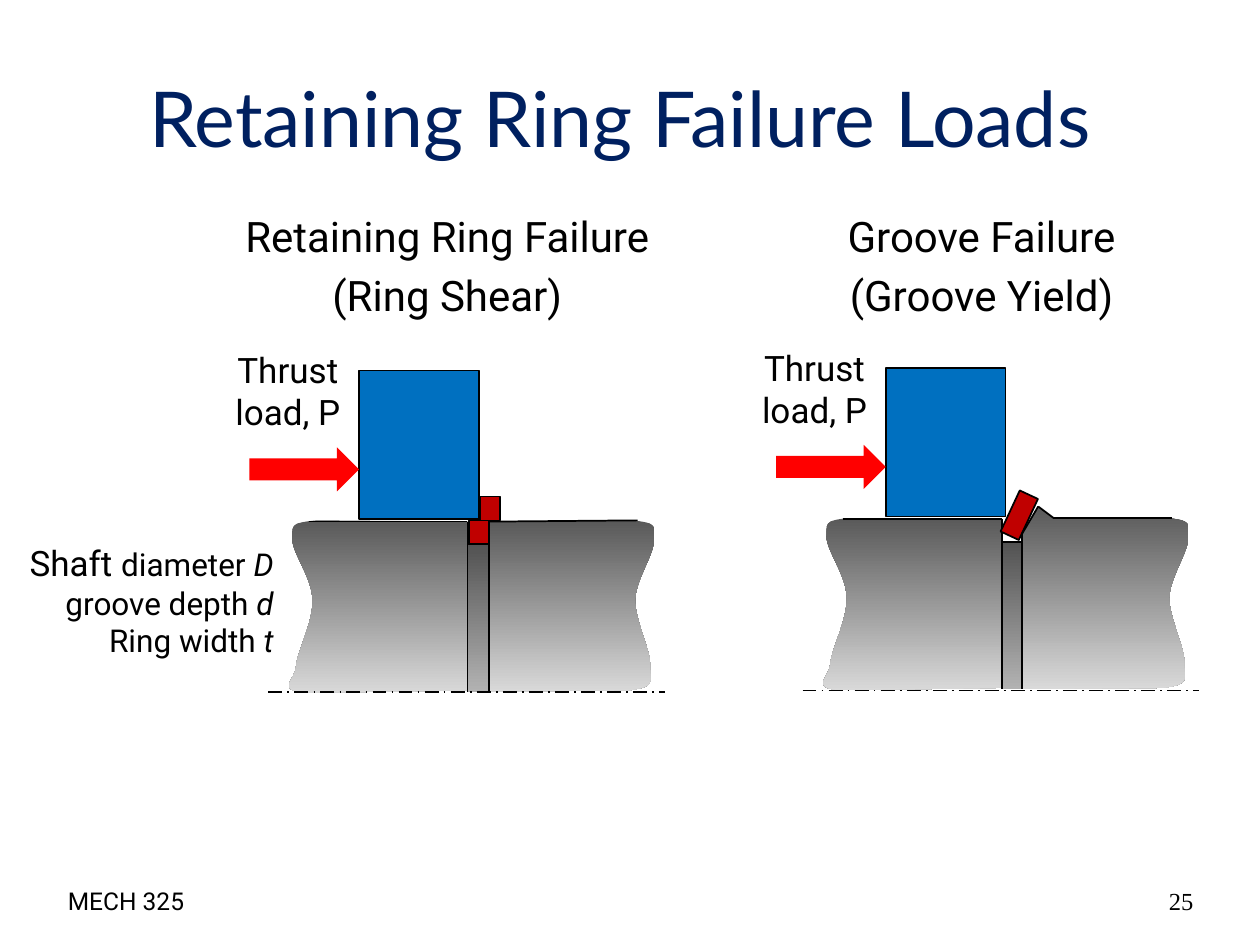
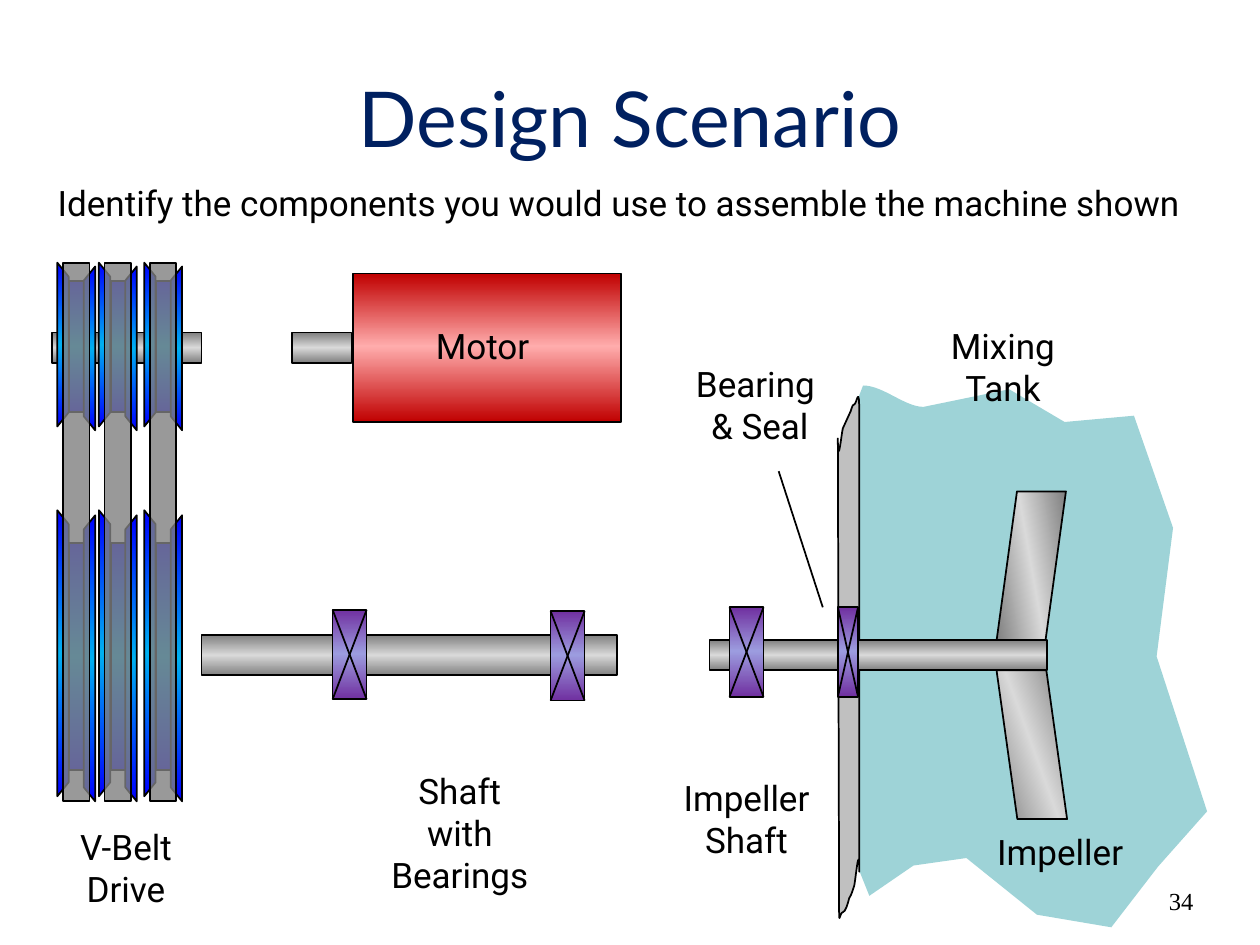
import pptx
import pptx.dml.color
import pptx.enum.dml
import pptx.enum.shapes
import pptx.enum.text
import pptx.oxml.ns
import pptx.util
from lxml import etree

Inches, Pt = pptx.util.Inches, pptx.util.Pt
RGBColor = pptx.dml.color.RGBColor
qn = pptx.oxml.ns.qn
SHAPE = pptx.enum.shapes.MSO_SHAPE
ALIGN = pptx.enum.text.PP_ALIGN

# Shared colours, gradients and fonts
NAVY = RGBColor(0x00, 0x20, 0x60)
BLACK = RGBColor(0x00, 0x00, 0x00)
BLUE = RGBColor(0x00, 0x70, 0xC0)
RED = RGBColor(0xFF, 0x00, 0x00)
CRIMSON = RGBColor(0xC0, 0x00, 0x00)
PINK = RGBColor(0xFF, 0xAC, 0xAC)
AQUA = RGBColor(0x9E, 0xD3, 0xD7)
SILVER = RGBColor(0xC0, 0xC0, 0xC0)
GRAY = RGBColor(0x80, 0x80, 0x80)
LIGHT_GRAY = RGBColor(0xD9, 0xD9, 0xD9)
PURPLE = RGBColor(0x70, 0x30, 0xA0)
LILAC = RGBColor(0x9C, 0x9C, 0xDF)
PULLEY_BLUE = RGBColor(0x00, 0x00, 0xFF)
SKY = RGBColor(0x00, 0xB0, 0xF0)
SHAFT_SHADE = [(0, RGBColor(0x59, 0x59, 0x59)), (100, LIGHT_GRAY)]
GROOVE_SHADE = [(0, RGBColor(0x52, 0x52, 0x52)), (100, RGBColor(0xB2, 0xB2, 0xB2))]
STEEL = [(0, GRAY), (50, LIGHT_GRAY), (100, GRAY)]
MOTOR_SHADE = [(0, CRIMSON), (49, PINK), (100, CRIMSON)]
BEARING_SHADE = [(0, PURPLE), (49, LILAC), (100, PURPLE)]
PULLEY_SHADE = [(0, PULLEY_BLUE), (50, SKY), (100, PULLEY_BLUE)]
TITLE_FONT, BODY_FONT, NUMBER_FONT = "Lato", "Roboto", "Times New Roman"


def add_part(shapes, kind, geometry, fill, angle=90, outlined=True, rotation=0):
    """Add a preset shape in a box, or, without a kind, a path of points and curves."""
    if kind is None:
        corners = [(Inches(step[-2]), Inches(step[-1])) for step in geometry]
        builder = shapes.build_freeform(*corners[0], scale=1.0)
        builder.add_line_segments(corners[1:], close=True)
        part = builder.convert_to_shape()
        segments = list(part._element.spPr.iter(qn("a:lnTo")))
        for segment, step in zip(segments, geometry[1:]):
            if len(step) == 6:
                curve = etree.Element(qn("a:cubicBezTo"))
                for x, y in zip(step[::2], step[1::2]):
                    etree.SubElement(curve, qn("a:pt"), x=str(Inches(x) - part.left),
                                     y=str(Inches(y) - part.top))
                segment.getparent().replace(segment, curve)
    else:
        part = shapes.add_shape(kind, *[Inches(v) for v in geometry])
    part.shadow.inherit = False
    part.rotation = rotation
    if isinstance(fill, RGBColor):
        part.fill.solid()
        part.fill.fore_color.rgb = fill
    else:
        part.fill.gradient()
        gradient = part._element.spPr.find(qn("a:gradFill"))
        gradient.find(qn("a:lin")).set("ang", str(angle * 60000))
        stops = gradient.find(qn("a:gsLst"))
        for stop in list(stops):
            stops.remove(stop)
        for position, color in fill:
            stop = etree.SubElement(stops, qn("a:gs"), pos=str(position * 1000))
            etree.SubElement(stop, qn("a:srgbClr"), val=str(color))
    if outlined:
        part.line.color.rgb = BLACK
        part.line.width = Pt(1)
    else:
        part.line.fill.background()
    return part


def add_line(shapes, *ends):
    """Add a thin black line from x1, y1 to x2, y2."""
    line = shapes.add_connector(pptx.enum.shapes.MSO_CONNECTOR.STRAIGHT,
                                *[Inches(v) for v in ends])
    line.line.color.rgb = BLACK
    line.line.width = Pt(1)
    etree.SubElement(line._element.spPr, qn("a:effectLst"))
    return line


# Presentation, slides and titles
prs = pptx.Presentation()
prs.slide_width, prs.slide_height = Inches(10), Inches(7.5)
pages = []
for heading in ("Retaining Ring Failure Loads ", "Design Scenario"):
    slide = prs.slides.add_slide(prs.slide_layouts[5])
    title = slide.shapes.title
    title.left, title.top, title.width, title.height = map(Inches, (0.5, 0.3, 9, 1.25))
    title.text_frame.text = heading
    title_font = title.text_frame.paragraphs[0].runs[0].font
    for name, value in {"name": TITLE_FONT, "size": Pt(44)}.items():
        setattr(title_font, name, value)
    title_font.color.rgb = NAVY
    pages.append(slide.shapes)
failure, scenario = pages
labels = []  # page, box, size, alignment, paragraphs

# Failure loads: ring shear on the left, groove yield on the right
stub_edge = [(4.99, 5.48), (5.21, 5.45, 5.16, 5.41, 5.16, 5.29),
             (5.17, 5.17, 5.04, 4.93, 5.04, 4.76), (5.05, 4.59, 5.2, 4.39, 5.19, 4.28),
             (5.19, 4.18, 5.23, 4.15, 5.01, 4.13)]
shaft_path = [(2.52, 4.13), (3.72, 4.14), (3.72, 5.48), (2.42, 5.5),
              (2.19, 5.47, 2.34, 5.41, 2.35, 5.29), (2.36, 5.17, 2.49, 4.93, 2.48, 4.76),
              (2.48, 4.59, 2.32, 4.39, 2.32, 4.28), (2.33, 4.18, 2.28, 4.15, 2.52, 4.13)]
intact_lip = [(3.88, 4.14), (3.88, 5.49)]
yielded_lip = [(4.12, 4.13), (4.0, 4.04), (3.87, 4.26), (3.87, 5.49)]
views = [
    # shaft shift, block shift, lift, axis height, lip, rings, caption
    (0, 0, 0, 5.49, intact_lip,
     [(3.72, 4.13, 0.16, 0.19, 0), (3.81, 3.94, 0.16, 0.19, 0)],
     (1.3, ["Retaining Ring Failure", "(Ring Shear)"])),
    (4.24, 4.18, -0.02, 5.48, yielded_lip, [(3.77, 3.93, 0.16, 0.36, 25)],
     (5.54, ["Groove Failure", "(Groove Yield)"])),
]
for shift, block_shift, lift, axis, lip, rings, (caption_left, caption) in views:
    for path in (lip + stub_edge, shaft_path):
        moved = [tuple(v + (lift if i % 2 else shift) for i, v in enumerate(step))
                 for step in path]
        add_part(failure, None, moved, SHAFT_SHADE, outlined=False)
    add_part(failure, SHAPE.RECTANGLE, (3.71 + shift, 4.32 + lift, 0.17, 1.17),
             GROOVE_SHADE, outlined=False)
    axis_line = add_line(failure, 2.13 + shift, axis, 5.28 + shift, axis)
    axis_line.line.dash_style = pptx.enum.dml.MSO_LINE.LONG_DASH_DOT
    edges = [((2.45, 4.14), (3.71, 4.14)), ((3.71, 4.14), (3.71, 5.49)),
             ((3.71, 4.32), (3.88, 4.32)), (lip[0], (5.06, 4.13))]
    for (x1, y1), (x2, y2) in edges + list(zip(lip, lip[1:])):
        add_line(failure, x1 + shift, y1 + lift, x2 + shift, y2 + lift)
    for x, y, width, height, tilt in rings:
        add_part(failure, SHAPE.RECTANGLE, (x + shift, y + lift, width, height), CRIMSON,
                 rotation=tilt)
    add_part(failure, SHAPE.RECTANGLE, (2.85 + block_shift, 2.94 + lift, 0.95, 1.18), BLUE)
    add_part(failure, SHAPE.RIGHT_ARROW, (1.98 + block_shift, 3.55 + lift, 0.87, 0.35), RED,
             outlined=False)
    labels += [
        (failure, (caption_left, 1.62, 4.5, 1.06), 24, ALIGN.CENTER, caption),
        (failure, (1.75 + block_shift, 2.72 + lift, 1.07, 0.77), 20, ALIGN.CENTER,
         ["Thrust load, P"]),
    ]

# Design scenario: upper pulley shaft, tank contents and wall
tank_path = [(6.74, 5.2), (6.75, 3.32), (6.85, 3.06), (7.01, 3.06, 7.18, 3.23, 7.33, 3.23),
             (8.01, 3.09), (8.45, 3.35), (9, 3.3), (9.31, 4.19), (9.18, 5.21), (9.58, 6.44),
             (9.19, 6.88), (8.82, 7.36), (8.23, 7.26), (7.67, 6.81), (7.25, 6.87),
             (6.9, 7.11), (6.82, 6.91), (6.74, 5.2)]
wall_path = [(6.65, 3.48), (6.65, 3.74, 6.68, 3.43, 6.69, 3.4), (6.74, 3.29),
             (6.76, 3.26, 6.76, 3.21, 6.78, 3.21), (6.8, 3.21, 6.82, 3.03, 6.82, 3.29),
             (6.82, 6.92), (6.82, 6.66, 6.79, 6.99, 6.78, 7.03),
             (6.77, 7.06, 6.76, 7.1, 6.74, 7.13), (6.73, 7.17, 6.71, 7.24, 6.69, 7.24),
             (6.66, 7.24, 6.66, 7.4, 6.66, 7.13), (6.65, 3.48)]
add_part(scenario, SHAPE.RECTANGLE, (0.41, 2.64, 1.19, 0.24), STEEL)
add_part(scenario, None, tank_path, AQUA, outlined=False)
add_part(scenario, None, wall_path, SILVER)

# Motor, impeller with its shaft, and the other shafts
add_part(scenario, SHAPE.RECTANGLE, (2.8, 2.17, 2.13, 1.18), MOTOR_SHADE)
add_part(scenario, SHAPE.RECTANGLE, (5.63, 5.08, 2.68, 0.24), STEEL)
for top, width, angle, mirrored in ((3.9, 0.55, 170, False), (5.32, 0.56, 20, True)):
    blade = add_part(scenario, SHAPE.PARALLELOGRAM, (7.91, top, width, 1.18), STEEL, angle)
    blade.adjustments[0] = 0.294
    if mirrored:
        blade._element.spPr.find(qn("a:xfrm")).set("flipH", "1")
for shaft_box in ((1.6, 5.04, 3.3, 0.32), (2.32, 2.64, 0.47, 0.24)):
    add_part(scenario, SHAPE.RECTANGLE, shaft_box, STEEL)

# Bearings, each a group crossed by its diagonals
for x, y, width in ((2.64, 4.84, 0.27), (4.37, 4.85, 0.27),
                    (6.65, 4.82, 0.16), (5.79, 4.82, 0.27)):
    bearing = scenario.add_group_shape().shapes
    add_part(bearing, SHAPE.RECTANGLE, (x, y, width, 0.71), BEARING_SHADE)
    add_line(bearing, x, y, x + width, y + 0.71)
    add_line(bearing, x + width, y, x, y + 0.71)

# V-belt drive: two pulleys per belt, each a hub between two flanges
hub_lefts = (0.88, 1.24, 0.55)
pulleys = (
    # hub top, hub height, flange height, right and left flange tops
    (2.23, 1.04, 1.3, 2.72, 2.69),
    (4.31, 1.8, 2.27, 5.18, 5.14),
)
for hub_top, hub_height, flange_height, right_top, left_top in pulleys:
    for hub_left in hub_lefts:
        add_part(scenario, SHAPE.RECTANGLE, (hub_left, hub_top, 0.12, hub_height),
                 PULLEY_SHADE)
        for offset, flange_top, turn in ((0.16, right_top, 270), (-0.05, left_top, 90)):
            flange_box = (hub_left + offset - flange_height / 2, flange_top,
                          flange_height, 0.09)
            flange = add_part(scenario, SHAPE.TRAPEZOID, flange_box, PULLEY_SHADE, 180,
                              rotation=turn)
            flange.adjustments[0] = 1.234
for hub_left in sorted(hub_lefts):
    belt = add_part(scenario, SHAPE.RECTANGLE, (hub_left - 0.05, 2.09, 0.21, 4.27), GRAY)
    belt_color = belt._element.spPr.find(qn("a:solidFill")).find(qn("a:srgbClr"))
    etree.SubElement(belt_color, qn("a:alpha"), val="80000")

# Pointer to the bearing and seal
add_line(scenario, 6.53, 4.82, 6.18, 3.74)

# Labels and footers; a paragraph is a string or a list of (text, format) runs
symbol = {"size": Pt(18), "italic": True}
term = {"size": Pt(18)}
number = {"name": NUMBER_FONT}
number_box = (7.24, 6.98, 2.33, 0.52)
labels += [
    (failure, (0, 4.25, 2.27, 1.04), 20, ALIGN.RIGHT,
     [[("Shaft ", {}), ("diameter ", term), ("D", symbol)],
      [("groove depth ", term), ("d", symbol)],
      [("Ring width ", term), ("t", symbol)]]),
    (failure, (0.44, 6.98, 3.17, 0.52), 14, ALIGN.LEFT, ["MECH 325"]),
    (failure, number_box, 14, ALIGN.RIGHT, [[("25", number)]]),
    (scenario, number_box, 14, ALIGN.RIGHT, [[("34", number)]]),
    (scenario, (3.34, 2.53, 0.98, 0.44), 20, ALIGN.CENTER, ["Motor"]),
    (scenario, (0.52, 6.5, 0.96, 0.77), 20, ALIGN.CENTER, ["V-Belt", "Drive"]),
    (scenario, (2.93, 6.06, 1.44, 0.77), 20, ALIGN.CENTER, ["Shaft with", "Bearings"]),
    (scenario, (7.81, 6.54, 1.21, 0.44), 20, ALIGN.CENTER, ["Impeller"]),
    (scenario, (7.12, 2.53, 1.68, 0.44), 20, ALIGN.CENTER, ["Mixing Tank"]),
    (scenario, (5.32, 6.11, 1.21, 0.77), 20, ALIGN.CENTER, ["Impeller", "Shaft"]),
    (scenario, (5.42, 2.83, 1.22, 0.77), 20, ALIGN.CENTER, ["Bearing ", "& Seal"]),
    (scenario, (0.36, 1.39, 9.16, 0.44), 20, ALIGN.LEFT,
     ["Identify the components you would use to assemble the machine shown"]),
]
for page, box, size, alignment, paragraphs in labels:
    frame = page.add_textbox(*[Inches(v) for v in box]).text_frame
    frame.word_wrap = True
    for i, content in enumerate(paragraphs):
        paragraph = frame.add_paragraph() if i else frame.paragraphs[0]
        paragraph.alignment = alignment
        if i and size == 24:
            paragraph.space_before = Pt(5)
        for text, changes in [(content, {})] if isinstance(content, str) else content:
            run = paragraph.add_run()
            run.text = text
            run.font.color.rgb = BLACK
            for name, value in {"name": BODY_FONT, "size": Pt(size), **changes}.items():
                setattr(run.font, name, value)

prs.save("out.pptx")
